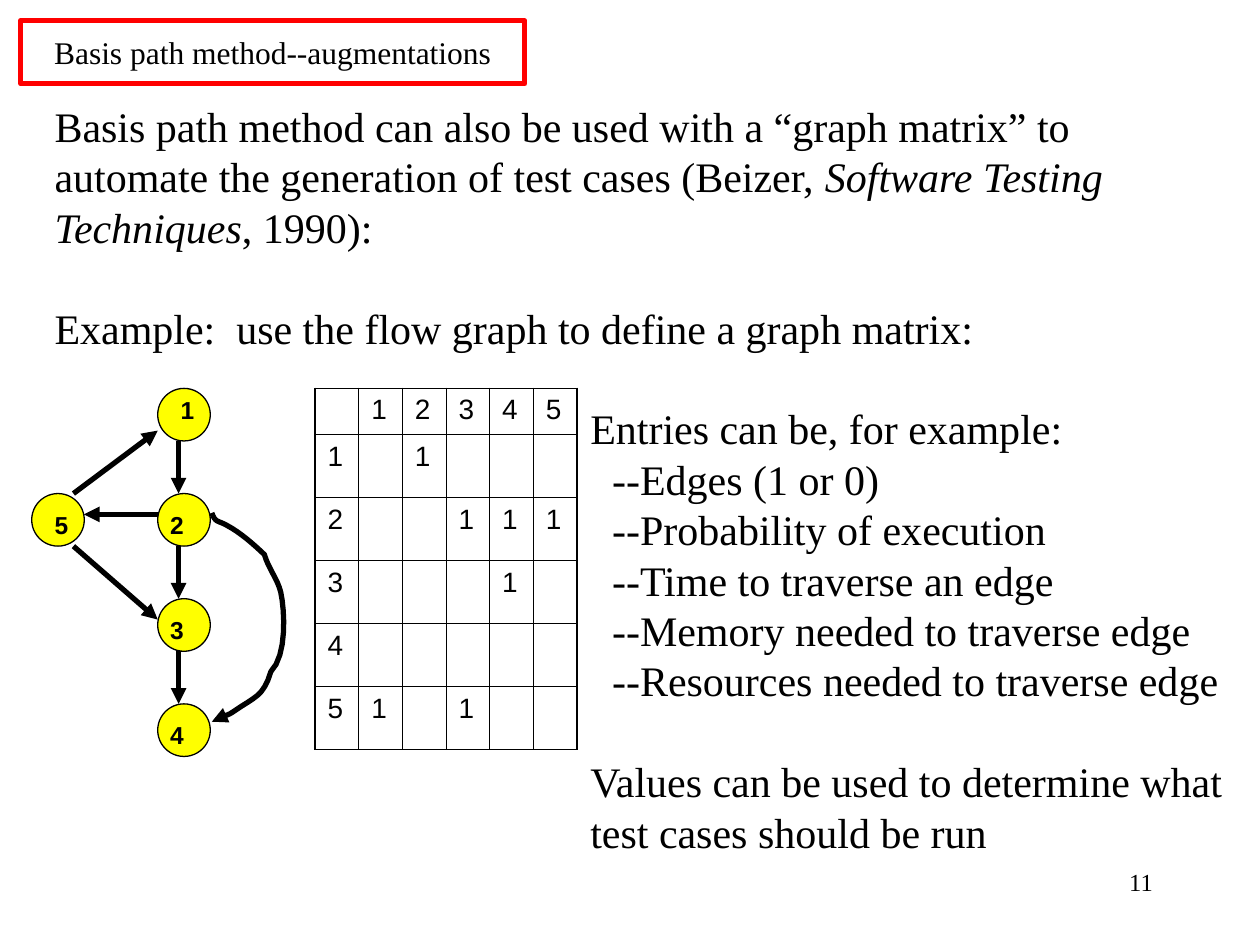
from dataclasses import dataclass

from lxml import etree
from pptx import Presentation
from pptx.dml.color import RGBColor
from pptx.enum.shapes import MSO_CONNECTOR, MSO_SHAPE
from pptx.enum.text import MSO_ANCHOR, PP_ALIGN
from pptx.oxml.ns import qn
from pptx.util import Cm, Pt

LEFT, CENTER, RIGHT = PP_ALIGN.LEFT, PP_ALIGN.CENTER, PP_ALIGN.RIGHT
MIDDLE = MSO_ANCHOR.MIDDLE
RECTANGLE, OVAL = MSO_SHAPE.RECTANGLE, MSO_SHAPE.OVAL
STRAIGHT = MSO_CONNECTOR.STRAIGHT
SERIF, SANS = "Times New Roman", "Arial"
BLACK, RED, YELLOW = "000000", "FF0000", "FFFF00"
NODE_SIZE, NODE_STEP = 1.06, 2.12
NODE_LEFT, NODE_TOP = 3.18, 7.83
BODY_SIZE, BODY_PITCH = 24, 28.8
ENTRY_INDENT, ITEM_INDENT = 10.8, 11.24


@dataclass
class Node:
    label: str
    left: float
    row: int
    label_dx: float = 0
    label_dy: float = 0.21

    @property
    def top(self) -> float:
        return NODE_TOP + self.row * NODE_STEP


@dataclass
class Edge:
    start: tuple[float, float]
    end: tuple[float, float]


@dataclass
class Line:
    runs: list[tuple[str, bool]]
    indent: float = 0
    blank_lines_before: int = 0


NODES = [
    Node("1", NODE_LEFT, 0, 0.21, 0),
    Node("2", NODE_LEFT, 1),
    Node("3", NODE_LEFT, 2),
    Node("4", NODE_LEFT, 3),
    Node("5", 0.64, 1, 0.21),
]
DOWNWARD_EDGES = [
    Edge((3.6, node.top + NODE_SIZE), (3.6, node.top + NODE_STEP)) for node in NODES[:3]
]
EDGES = DOWNWARD_EDGES + [
    Edge((3.18, 10.37), (1.69, 10.37)),
    Edge((1.48, 9.95), (3.18, 8.68)),
    Edge((1.48, 11.01), (3.18, 12.49)),
]
CURVE_START = (4.27, 10.34)
CURVE_SEGMENTS = [
    ((4.34, 10.54), (4.39, 10.49), (4.57, 10.59)),
    ((4.85, 10.74), (5.11, 10.97), (5.33, 11.18)),
    ((5.41, 11.46), (5.59, 11.66), (5.66, 11.94)),
    ((5.74, 12.32), (5.79, 13.21), (5.46, 13.54)),
    ((5.31, 14.05), (5.13, 14.05), (4.7, 14.35)),
    ((4.52, 14.48), (4.42, 14.4), (4.27, 14.55)),
]
MATRIX = [
    ["", "1", "2", "3", "4", "5"],
    ["1", "", "1", "", "", ""],
    ["2", "", "", "1", "1", "1"],
    ["3", "", "", "", "1", ""],
    ["4", "", "", "", "", ""],
    ["5", "1", "", "1", "", ""],
]
ITEMS = [
    "--Edges (1 or 0)",
    "--Probability of execution",
    "--Time to traverse an edge",
    "--Memory needed to traverse edge",
    "--Resources needed to traverse edge",
]
BODY = [
    Line([
        ("Basis path method can also be used with a “graph matrix” to automate "
         "the generation of test cases (Beizer, ", False),
        ("Software Testing Techniques", True),
        (", 1990):", False),
    ]),
    Line([("Example:  use the flow graph to define a graph matrix:", False)], 0, 1),
    Line([("Entries can be, for example:", False)], ENTRY_INDENT, 1),
    *[Line([(item, False)], ITEM_INDENT) for item in ITEMS],
    Line([("Values can be used to determine what test cases should be run", False)],
         ENTRY_INDENT, 1),
]


def color(value: str) -> RGBColor:
    return RGBColor.from_string(value)


def write(paragraph, text: str, *, size: float, font: str = SERIF, bold: bool = False,
          italic: bool = False, align=LEFT) -> None:
    paragraph.alignment = align
    run = paragraph.add_run()
    run.text = text
    run.font.size, run.font.name = Pt(size), font
    run.font.bold, run.font.italic = bold, italic
    run.font.color.rgb = color(BLACK)


def add_text_box(slide, left: float, top: float, width: float, height: float):
    box = slide.shapes.add_textbox(Cm(left), Cm(top), Cm(width), Cm(height))
    box.text_frame.word_wrap = True
    return box.text_frame


def outline(shape, value: str, width: float) -> None:
    shape.line.color.rgb = color(value)
    shape.line.width = Pt(width)


def add_arrowhead(shape) -> None:
    etree.SubElement(shape.line._get_or_add_ln(), qn("a:tailEnd"), type="triangle")


def draw_title(slide, text: str) -> None:
    shape = slide.shapes.add_shape(RECTANGLE, Cm(0.42), Cm(0.42), Cm(10.16), Cm(1.27))
    shape.shadow.inherit = False
    shape.fill.background()
    outline(shape, RED, 3)
    shape.text_frame.vertical_anchor = MIDDLE
    write(shape.text_frame.paragraphs[0], text, size=18, align=CENTER)


def draw_body(slide, lines: list[Line]) -> None:
    frame = add_text_box(slide, 0.85, 1.9, 24.13, 16.51)
    for index, line in enumerate(lines):
        paragraph = frame.add_paragraph() if index else frame.paragraphs[0]
        paragraph.line_spacing = Pt(BODY_PITCH)
        if line.blank_lines_before:
            paragraph.space_before = Pt(BODY_PITCH * line.blank_lines_before)
        if line.indent:
            paragraph._p.get_or_add_pPr().set("marL", str(Cm(line.indent)))
        for text, italic in line.runs:
            write(paragraph, text, size=BODY_SIZE, italic=italic)


def draw_node(slide, node: Node) -> None:
    shape = slide.shapes.add_shape(
        OVAL, Cm(node.left), Cm(node.top), Cm(NODE_SIZE), Cm(NODE_SIZE))
    shape.shadow.inherit = False
    shape.fill.solid()
    shape.fill.fore_color.rgb = color(YELLOW)
    outline(shape, BLACK, 0.75)


def draw_label(slide, node: Node) -> None:
    frame = add_text_box(slide, node.left + node.label_dx, node.top + node.label_dy, 0.85, 0.86)
    write(frame.paragraphs[0], node.label, size=14, font=SANS, bold=True)


def draw_edge(slide, edge: Edge) -> None:
    points = [Cm(value) for value in (*edge.start, *edge.end)]
    connector = slide.shapes.add_connector(STRAIGHT, *points)
    outline(connector, BLACK, 3)
    add_arrowhead(connector)
    etree.SubElement(connector._element.spPr, qn("a:effectLst"))


def bezier(points: list[tuple[float, float]], t: float) -> tuple[int, int]:
    weights = ((1 - t) ** 3, 3 * t * (1 - t) ** 2, 3 * t ** 2 * (1 - t), t ** 3)
    x, y = (sum(w * p[axis] for w, p in zip(weights, points)) for axis in (0, 1))
    return Cm(x), Cm(y)


def draw_curved_edge(slide, steps: int = 8) -> None:
    start, vertices = CURVE_START, []
    for segment in CURVE_SEGMENTS:
        vertices += [bezier([start, *segment], step / steps) for step in range(1, steps + 1)]
        start = segment[-1]
    builder = slide.shapes.build_freeform(Cm(CURVE_START[0]), Cm(CURVE_START[1]))
    builder.add_line_segments(vertices, close=False)
    shape = builder.convert_to_shape()
    shape.shadow.inherit = False
    shape.fill.background()
    outline(shape, BLACK, 3)
    add_arrowhead(shape)


def set_borders(cell, outer_sides: dict[str, bool]) -> None:
    properties = cell._tc.get_or_add_tcPr()
    for side, is_outer in outer_sides.items():
        width = str(Pt(1.08 if is_outer else 0.45))
        border = etree.SubElement(properties, qn(f"a:{side}"), w=width)
        fill = etree.SubElement(border, qn("a:solidFill"))
        etree.SubElement(fill, qn("a:srgbClr"), val=BLACK)


def draw_matrix(slide, rows: list[list[str]]) -> None:
    count, width, heights = len(rows), 0.88, [0.93] + [1.27] * (len(rows) - 1)
    table = slide.shapes.add_table(
        count, count, Cm(6.35), Cm(NODE_TOP), Cm(count * width), Cm(sum(heights))).table
    table.first_row = table.horz_banding = False
    last = count - 1
    for r, texts in enumerate(rows):
        table.rows[r].height, table.columns[r].width = Cm(heights[r]), Cm(width)
        for c, text in enumerate(texts):
            cell = table.cell(r, c)
            set_borders(cell, {"lnL": c == 0, "lnR": c == last, "lnT": r == 0, "lnB": r == last})
            cell.fill.background()
            paragraph = cell.text_frame.paragraphs[0]
            if text:
                write(paragraph, text, size=16, font=SANS)
            else:
                etree.SubElement(paragraph._p, qn("a:endParaRPr"), sz="1600")


def main() -> None:
    presentation = Presentation()
    presentation.slide_width, presentation.slide_height = Cm(25.4), Cm(19.05)
    slide = presentation.slides.add_slide(presentation.slide_layouts[6])
    number = add_text_box(slide, 18.2, 17.36, 5.29, 1.27)
    write(number.paragraphs[0], "11", size=14, align=RIGHT)
    draw_title(slide, "Basis path method--augmentations")
    draw_body(slide, BODY)
    for node in NODES:
        draw_node(slide, node)
    for edge in EDGES:
        draw_edge(slide, edge)
    for node in NODES:
        draw_label(slide, node)
    draw_curved_edge(slide)
    draw_matrix(slide, MATRIX)
    presentation.save("out.pptx")


if __name__ == "__main__":
    main()
